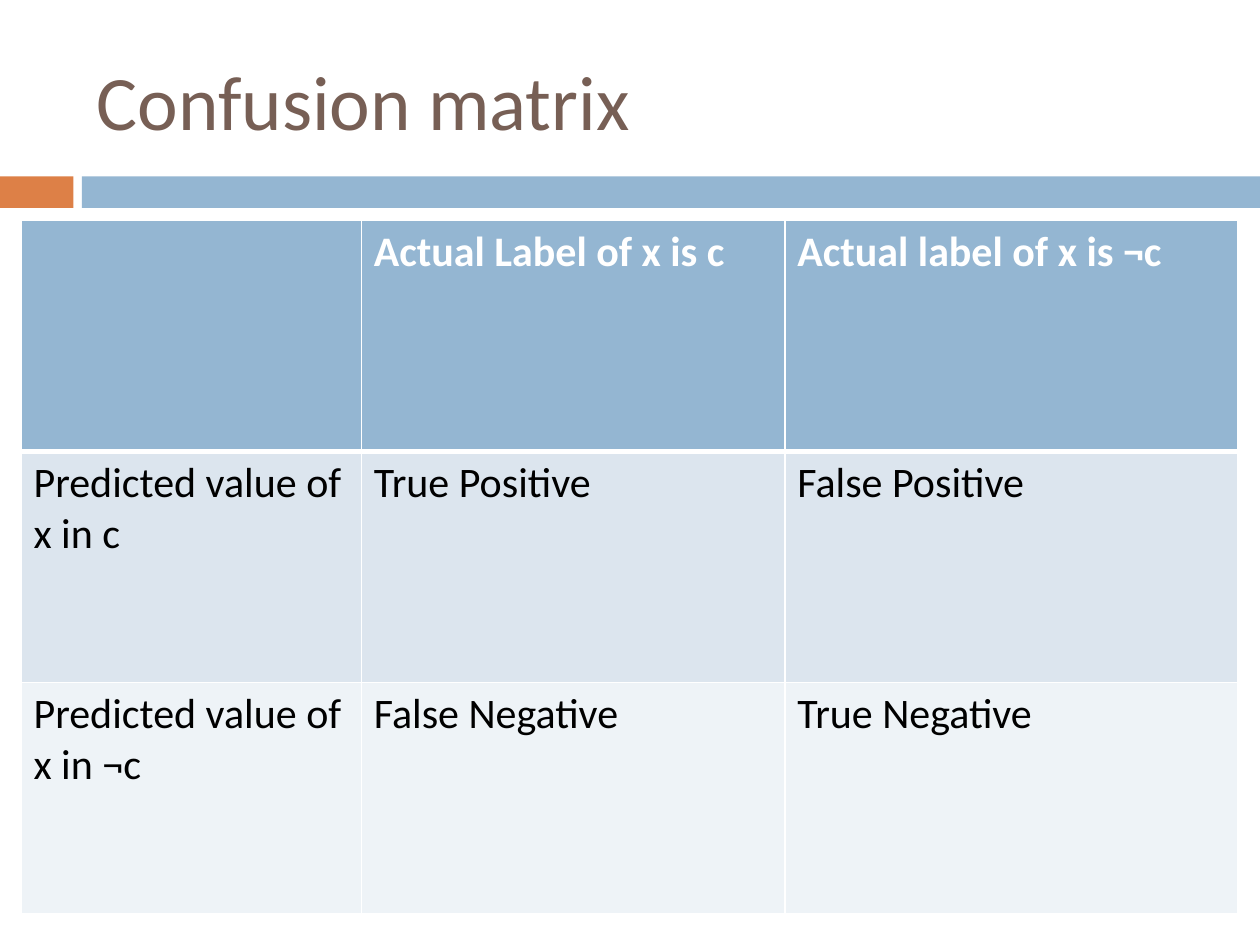
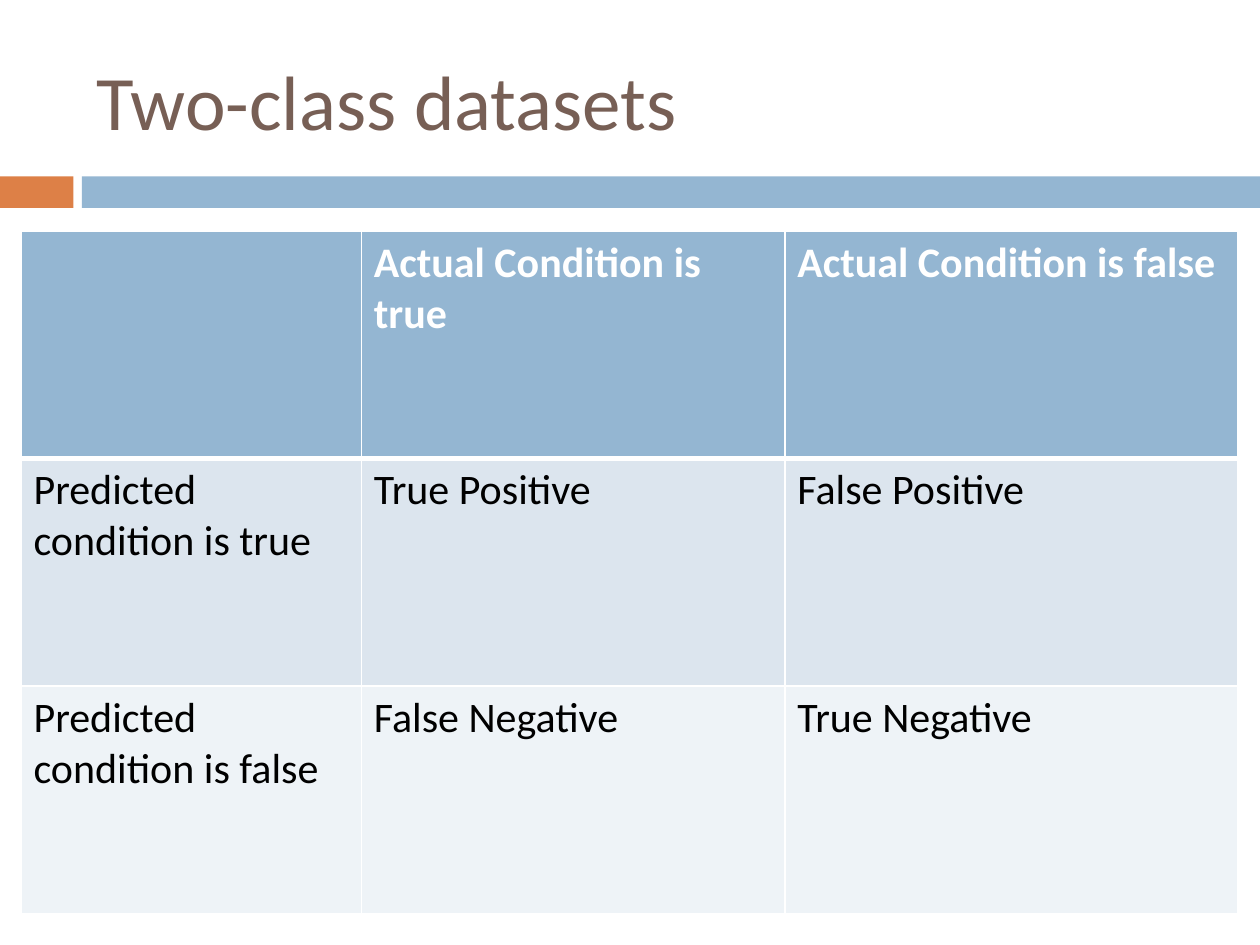
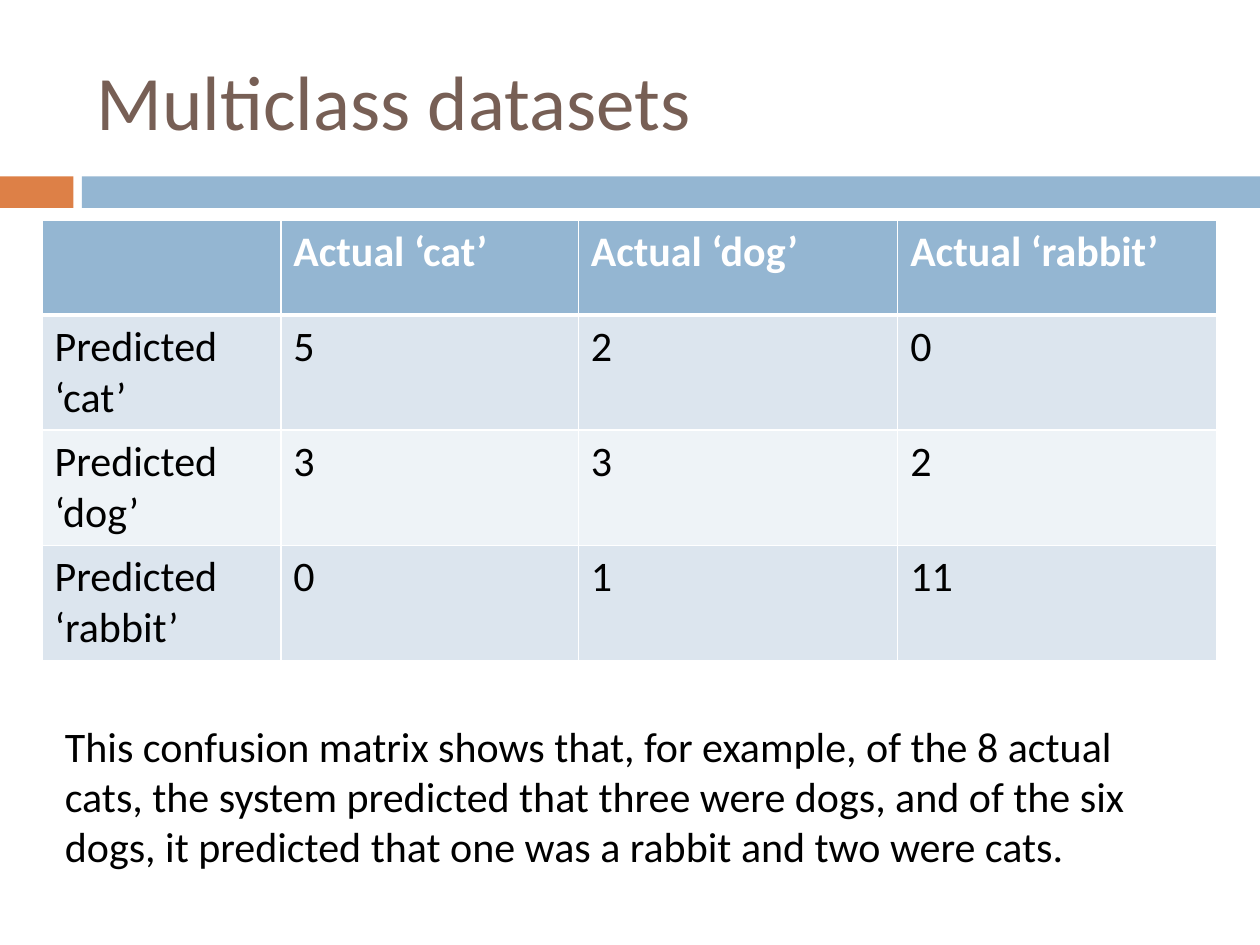
from pptx import Presentation
from pptx.dml.color import RGBColor
from pptx.enum.shapes import MSO_SHAPE
from pptx.enum.text import MSO_ANCHOR, PP_ALIGN
from pptx.oxml.ns import qn
from pptx.util import Pt
from lxml.etree import SubElement

COLORS = {
    "title": "775F55", "accent": "DD8047", "band": "94B6D2",
    "odd row": "DCE5EE", "even row": "EEF3F7",
    "text": "000000", "white": "FFFFFF",
}
FONT = "Calibri"
TITLE_LAYOUT = 5
TITLE_BOX = (48, 18, 642, 78)
BAND_BOX = (0, 100.8, 720, 18)
CLASS_COLUMNS = (194.5, 242, 259)
ANIMAL_COLUMNS = (136.5, 170, 182.5, 182.5)


def color(name):
    return RGBColor.from_string(COLORS[name])


def style_text(paragraph, size, color_name, bold=False):
    formats = {"name": FONT, "size": Pt(size), "bold": bold}
    for span in paragraph.runs:
        for attribute, value in formats.items():
            setattr(span.font, attribute, value)
        span.font.color.rgb = color(color_name)


def place(shape, box):
    for attribute, value in zip(("left", "top", "width", "height"), box):
        setattr(shape, attribute, Pt(value))


def add_band(page, box):
    """Short accent block, a gap, then a band to the right edge."""
    left, top, width, height = box
    accent_width, band_offset = 42, 46.8
    parts = (("accent", 0, accent_width),
             ("band", band_offset, width - band_offset))
    for name, offset, part_width in parts:
        shape = page.shapes.add_shape(
            MSO_SHAPE.RECTANGLE, Pt(left + offset), Pt(top),
            Pt(part_width), Pt(height))
        shape.shadow.inherit = False
        shape.fill.solid()
        shape.fill.fore_color.rgb = color(name)
        shape.line.fill.background()


def add_page(deck, heading):
    page = deck.slides.add_slide(deck.slide_layouts[TITLE_LAYOUT])
    add_band(page, BAND_BOX)
    title = page.shapes.title
    place(title, TITLE_BOX)
    title.text_frame.text = heading
    title.text_frame.vertical_anchor = MSO_ANCHOR.MIDDLE
    paragraph = title.text_frame.paragraphs[0]
    paragraph.alignment = PP_ALIGN.LEFT
    style_text(paragraph, 44, "title")
    return page


def set_borders(cell, top, bottom):
    properties = cell._tc.get_or_add_tcPr()
    for side, width in (("L", 1), ("R", 1), ("T", top), ("B", bottom)):
        line = SubElement(properties, qn(f"a:ln{side}"), w=str(Pt(width)))
        fill = SubElement(line, qn("a:solidFill"))
        SubElement(fill, qn("a:srgbClr"), val=COLORS["white"])


def add_matrix(page, left, top, column_widths, row_height, rows):
    """Table with a header row and alternating body rows."""
    table = page.shapes.add_table(
        len(rows), len(column_widths), Pt(left), Pt(top),
        Pt(sum(column_widths)), Pt(row_height * len(rows))).table
    for column, width in zip(table.columns, column_widths):
        column.width = Pt(width)
    for row_index, texts in enumerate(rows):
        table.rows[row_index].height = Pt(row_height)
        header = row_index == 0
        fill_name = "band" if header else (
            "odd row" if row_index % 2 else "even row")
        for column_index, text in enumerate(texts):
            cell = table.cell(row_index, column_index)
            set_borders(cell, top=3 if row_index == 1 else 1,
                        bottom=3 if header else 1)
            cell.fill.solid()
            cell.fill.fore_color.rgb = color(fill_name)
            if text:
                cell.text = text
                style_text(cell.text_frame.paragraphs[0], 24,
                           "white" if header else "text", header)


def add_note(page, box, text):
    note = page.shapes.add_textbox(*map(Pt, box))
    note.text_frame.word_wrap = True
    note.text_frame.text = text
    style_text(note.text_frame.paragraphs[0], 24, "text")


def add_outcome_page(deck, heading, top, row_height, actual, predicted):
    """Two-by-two matrix of the possible outcomes."""
    page = add_page(deck, heading)
    add_matrix(page, 12, top, CLASS_COLUMNS, row_height, [
        ("", *actual),
        (predicted[0], "True Positive", "False Positive"),
        (predicted[1], "False Negative", "True Negative"),
    ])


def add_multiclass_page(deck):
    page = add_page(deck, "Multiclass datasets")
    counts = {"cat": (5, 2, 0), "dog": (3, 3, 2), "rabbit": (0, 1, 11)}
    rows = [("", *(f"Actual ‘{animal}’" for animal in counts))]
    for animal, values in counts.items():
        rows.append((f"Predicted ‘{animal}’", *map(str, values)))
    add_matrix(page, 24, 126, ANIMAL_COLUMNS, 54, rows)
    add_note(page, (30, 408, 660, 94.5),
             "This confusion matrix shows that, for example, of the 8 actual "
             "cats, the system predicted that three were dogs, and of the six "
             "dogs, it predicted that one was a rabbit and two were cats.")


def main():
    deck = Presentation()
    deck.slide_width, deck.slide_height = Pt(720), Pt(540)
    add_outcome_page(
        deck, "Confusion matrix", 126, 132,
        ("Actual Label of x is c", "Actual label of x is ¬c"),
        ("Predicted value of x in c", "Predicted value of x in ¬c"))
    add_outcome_page(
        deck, "Two-class datasets", 132, 130,
        ("Actual Condition is true", "Actual Condition is false"),
        ("Predicted condition is true", "Predicted condition is false"))
    add_multiclass_page(deck)
    deck.save("out.pptx")


if __name__ == "__main__":
    main()
